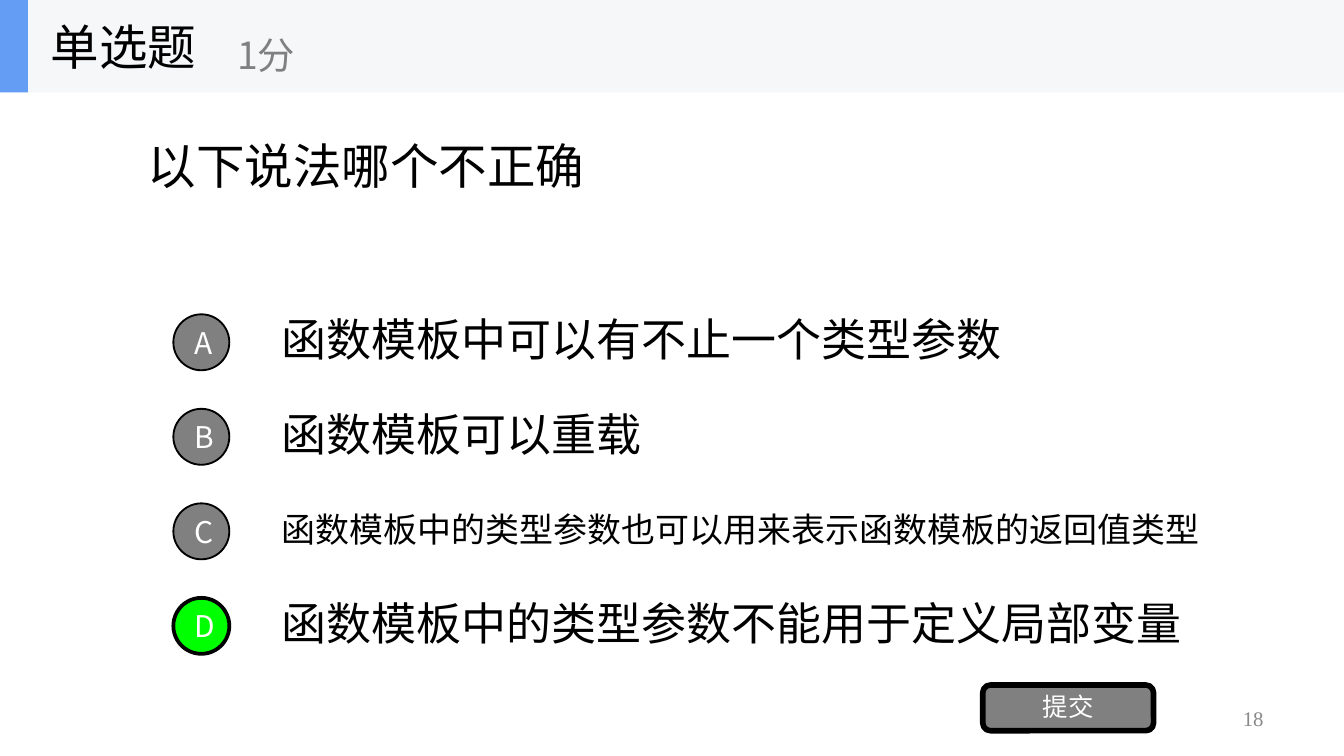
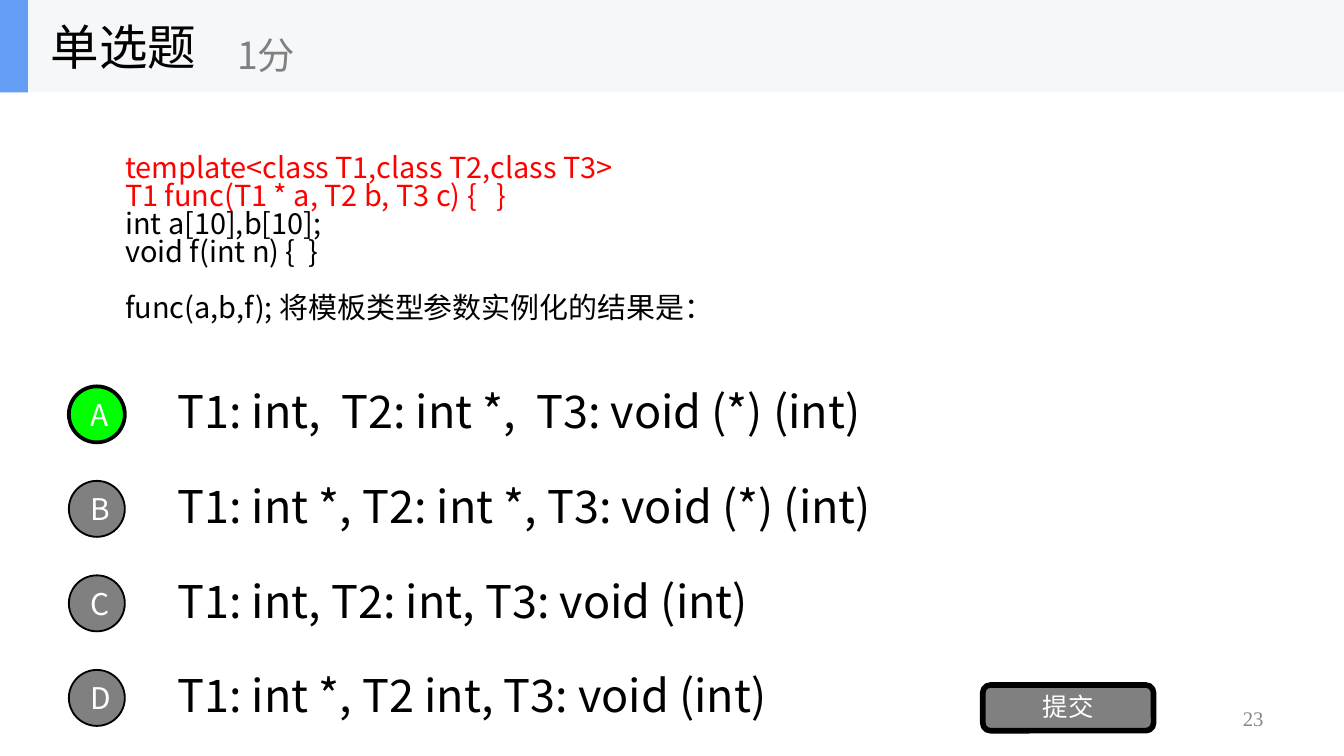
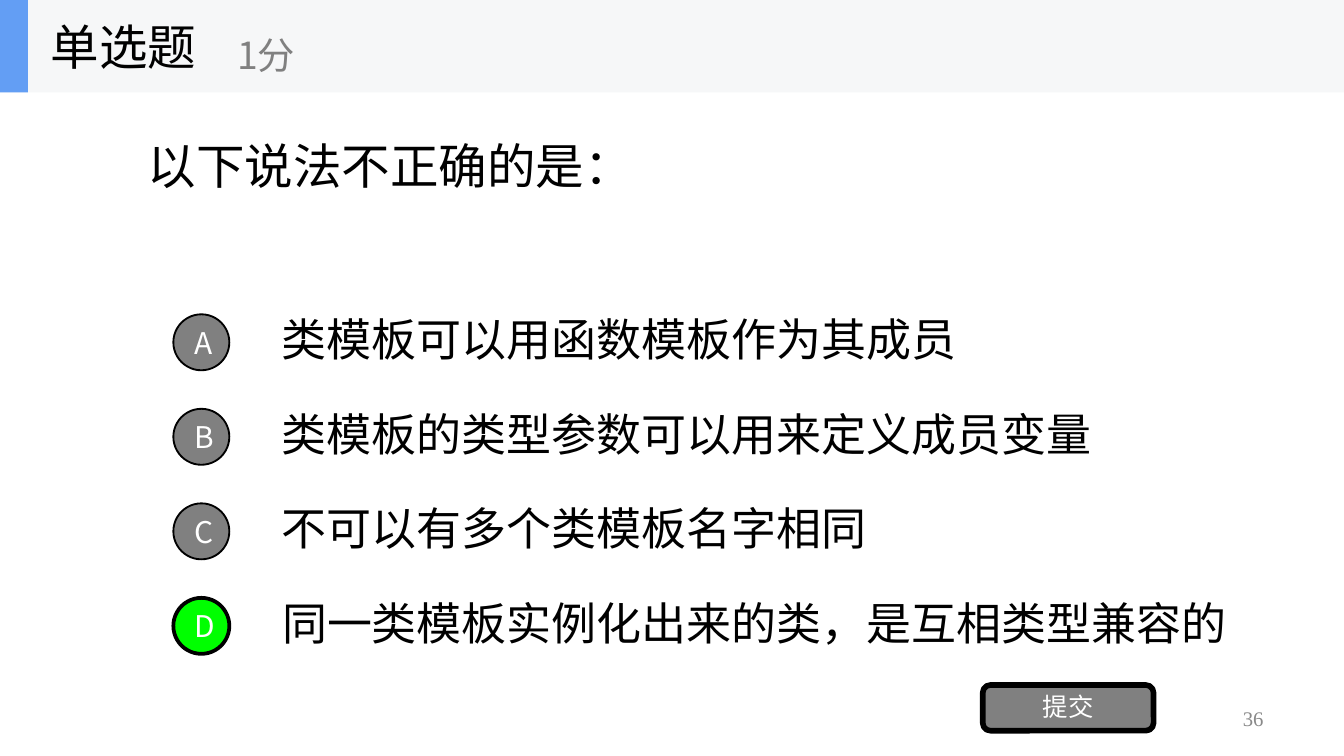
from dataclasses import dataclass

from lxml.etree import SubElement
from pptx import Presentation
from pptx.dml.color import RGBColor as Rgb
from pptx.enum.shapes import MSO_SHAPE as Shape
from pptx.enum.text import MSO_ANCHOR as Anchor, PP_ALIGN as Align
from pptx.oxml.ns import qn
from pptx.util import Pt


@dataclass(frozen=True)
class Theme:
    """Colours, fonts and type sizes shared by every quiz page."""

    ink: str = "000000"
    white: str = "FFFFFF"
    grey: str = "808080"
    number_grey: str = "898989"
    band: str = "F6F7F8"
    accent: str = "639EF4"
    correct: str = "00FF00"
    code_red: str = "FF0000"
    font: str = "Noto Sans CJK SC"
    number_font: str = "Times New Roman"
    title: float = 26
    score: float = 20
    option: float = 24.1
    long_option: float = 18.2
    code: float = 15.5
    code_pitch: float = 15
    badge: float = 16
    button: float = 13.6
    number: float = 11.1


@dataclass(frozen=True)
class Option:
    """One answer, with the width and type size of its text."""

    text: str
    width: float = 504
    size: float = 24.1


THEME = Theme()
SLIDE_WIDTH, SLIDE_HEIGHT = 720, 405
BAND_HEIGHT = 49.5
ROW_PITCH = 50.64
ROW_HEIGHT = 38
BADGE_SIZE = 30
BADGE_SHIFT = 51.1


def add_span(para, text, size, color, font=THEME.font):
    """Add one run, set in the same font for Latin and Chinese text."""
    span = para.add_run()
    span.text = text
    span.font.size = Pt(size)
    span.font.color.rgb = Rgb.from_string(color)
    span.font.name = font
    SubElement(span.font._element, qn("a:ea"), typeface=font)


def add_text(shapes, area, text, size, color=THEME.ink, font=THEME.font,
             align=Align.LEFT, spacing=None, wrap=True):
    """Add a one-paragraph text box, centred vertically in its area."""
    box = shapes.add_textbox(*map(Pt, area))
    box.text_frame.word_wrap = wrap
    box.text_frame.vertical_anchor = Anchor.MIDDLE
    para = box.text_frame.paragraphs[0]
    para.alignment = align
    para.line_spacing = spacing
    add_span(para, text, size, color, font)


def add_panel(shapes, kind, area, fill, line_width=0, label="", size=0, spacing=None):
    """Add a filled shape with an optional outline and white label."""
    panel = shapes.add_shape(kind, *map(Pt, area))
    panel.shadow.inherit = False
    panel.fill.solid()
    panel.fill.fore_color.rgb = Rgb.from_string(fill)
    if line_width:
        panel.line.color.rgb = Rgb.from_string(THEME.ink)
        panel.line.width = Pt(line_width)
    else:
        panel.line.fill.background()
    if label:
        panel.text_frame.vertical_anchor = Anchor.MIDDLE
        para = panel.text_frame.paragraphs[0]
        para.alignment = Align.CENTER
        para.line_spacing = spacing
        add_span(para, label, size, THEME.white)


def add_header(page):
    """Add the grouped title band with question type and score."""
    shapes = page.shapes.add_group_shape().shapes
    add_panel(shapes, Shape.RECTANGLE, (0, 0, SLIDE_WIDTH, BAND_HEIGHT), THEME.band)
    add_panel(shapes, Shape.RECTANGLE, (0, 0, 15, BAND_HEIGHT), THEME.accent)
    add_text(shapes, (20, 0, 150, BAND_HEIGHT), "单选题", THEME.title, wrap=False)
    add_text(shapes, (120, 9, 180, 40), "1分", THEME.score, THEME.grey, wrap=False)


def add_question(page, text):
    """Add a one-line question."""
    add_text(page.shapes, (72, 25, 576, 127), text, THEME.title)


def add_code_question(page, lines):
    """Add code lines, followed by the question after a one-line gap."""
    box = page.shapes.add_textbox(Pt(60), Pt(80), Pt(576), Pt(127))
    frame = box.text_frame
    frame.word_wrap = True
    for index, (text, color) in enumerate(lines):
        para = frame.paragraphs[0] if index == 0 else frame.add_paragraph()
        para.line_spacing = Pt(THEME.code_pitch)
        add_span(para, text, THEME.code, color)
    frame.paragraphs[-1].space_before = Pt(THEME.code_pitch)


def add_options(page, left, top, options, answer):
    """Add lettered options down from a corner, with the answer in green."""
    for row, option in enumerate(options):
        add_text(page.shapes, (left, top + row * ROW_PITCH, option.width, ROW_HEIGHT),
                 option.text, option.size, spacing=0.9)
    badge_top = top + (ROW_HEIGHT - BADGE_SIZE) / 2
    for row, letter in enumerate("ABCD"):
        fill, line_width = (THEME.correct, 2) if letter == answer else (THEME.grey, 1)
        area = (left - BADGE_SHIFT, badge_top + row * ROW_PITCH, BADGE_SIZE, BADGE_SIZE)
        add_panel(page.shapes, Shape.OVAL, area, fill, line_width, letter, THEME.badge)


def add_quiz(deck, number, ask, question, corner, options, answer):
    """Add a single-choice page, with its question drawn by ask."""
    page = deck.slides.add_slide(deck.slide_layouts[6])
    add_text(page.shapes, (516, 375, 168, 21.6), str(number), THEME.number,
             THEME.number_grey, THEME.number_font, Align.RIGHT, 0.9)
    ask(page, question)
    add_options(page, *corner, options, answer)
    add_panel(page.shapes, Shape.ROUNDED_RECTANGLE, (526.5, 367, 91.5, 24.5),
              THEME.grey, 3, "提交", THEME.button, 0.9)
    add_header(page)


def main():
    """Build the three quiz pages."""
    deck = Presentation()
    deck.slide_width, deck.slide_height = Pt(SLIDE_WIDTH), Pt(SLIDE_HEIGHT)
    text_corner, code_corner = (144, 164.4), (88, 203)
    add_quiz(deck, 18, add_question, "以下说法哪个不正确", text_corner, [
        Option("函数模板中可以有不止一个类型参数"),
        Option("函数模板可以重载"),
        Option("函数模板中的类型参数也可以用来表示函数模板的返回值类型", 540, THEME.long_option),
        Option("函数模板中的类型参数不能用于定义局部变量", 551),
    ], "D")
    add_quiz(deck, 23, add_code_question, [
        ("template<class T1,class T2,class T3>", THEME.code_red),
        ("T1 func(T1 * a, T2 b, T3 c) {   }", THEME.code_red),
        ("int a[10],b[10];", THEME.ink),
        ("void f(int n) {  }", THEME.ink),
        ("func(a,b,f); 将模板类型参数实例化的结果是：", THEME.ink),
    ], code_corner, [
        Option("T1: int,  T2: int *,  T3: void (*) (int)"),
        Option("T1: int *, T2: int *, T3: void (*) (int)"),
        Option("T1: int, T2: int, T3: void (int)"),
        Option("T1: int *, T2 int, T3: void (int)"),
    ], "A")
    add_quiz(deck, 36, add_question, "以下说法不正确的是：", text_corner, [
        Option("类模板可以用函数模板作为其成员"),
        Option("类模板的类型参数可以用来定义成员变量", 545),
        Option("不可以有多个类模板名字相同"),
        Option("同一类模板实例化出来的类，是互相类型兼容的", 566),
    ], "D")
    deck.save("out.pptx")


if __name__ == "__main__":
    main()
